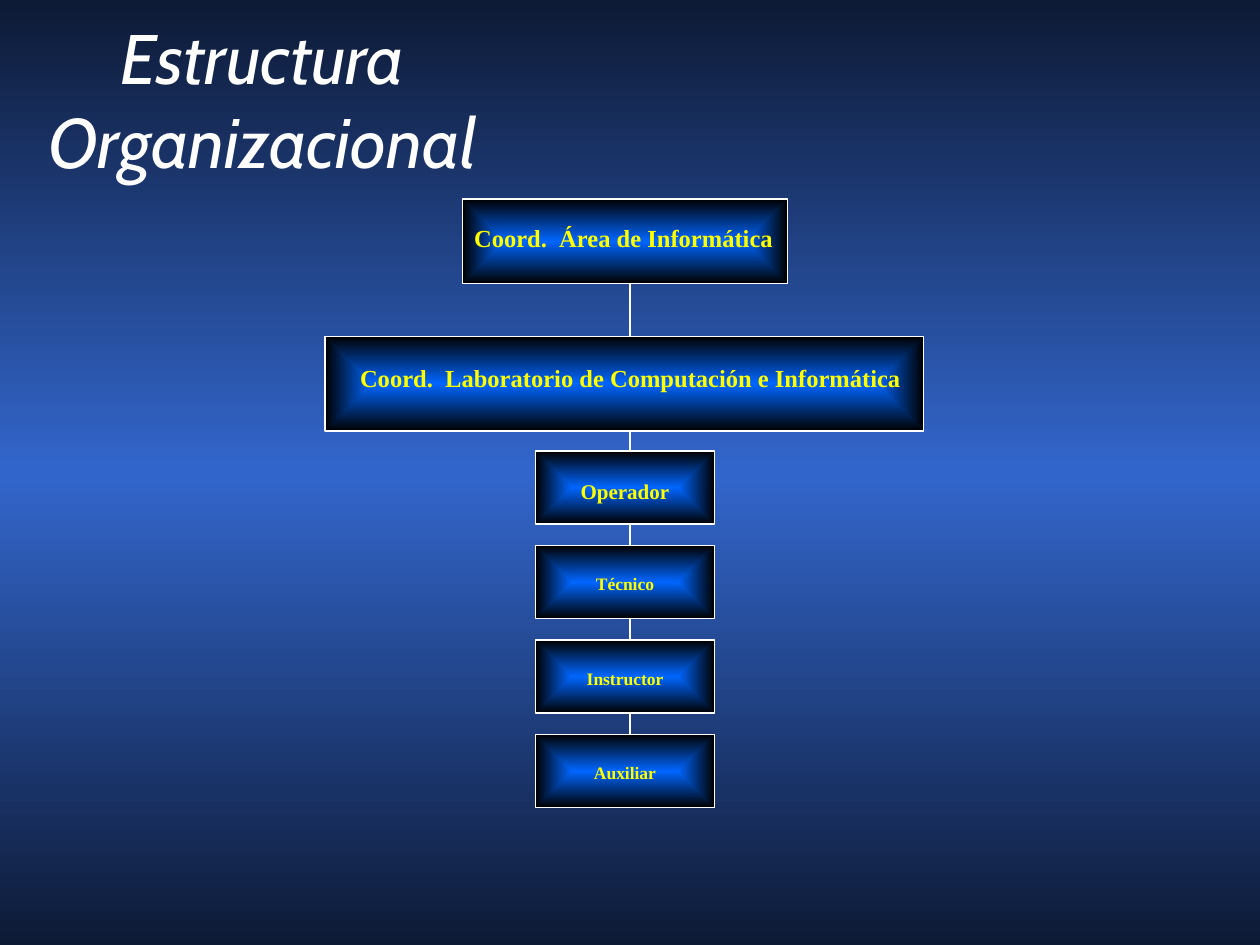
"""Build the organisational structure slide."""
from lxml.etree import SubElement
from pptx import Presentation
from pptx.dml.color import RGBColor
from pptx.enum.shapes import MSO_CONNECTOR, MSO_SHAPE
from pptx.enum.text import MSO_ANCHOR, PP_ALIGN
from pptx.oxml import parse_xml
from pptx.oxml.ns import nsdecls, qn
from pptx.util import Inches, Pt


def set_gradient(properties, stops, direction):
    stop_xml = "".join(
        f'<a:gs pos="{percent * 1000}"><a:srgbClr val="{colour}"/></a:gs>'
        for percent, colour in stops
    )
    gradient = parse_xml(
        f'<a:gradFill {nsdecls("a")} rotWithShape="1">'
        f"<a:gsLst>{stop_xml}</a:gsLst>{direction}</a:gradFill>"
    )
    properties.replace(properties.find(qn("a:solidFill")), gradient)


def add_text(text, left, top, width, height, size, font="Times New Roman",
             colour="FFFF00", bold=True, italic=False, shadow=None,
             anchor=MSO_ANCHOR.TOP):
    box = page.shapes.add_textbox(
        Inches(left), Inches(top), Inches(width), Inches(height))
    frame = box.text_frame
    frame.word_wrap = True
    frame.vertical_anchor = anchor
    para = frame.paragraphs[0]
    para.alignment = PP_ALIGN.CENTER
    span = para.add_run()
    span.text = text
    span.font.name = font
    span.font.size = Pt(size)
    span.font.bold = bold
    span.font.italic = italic
    span.font.color.rgb = RGBColor.from_string(colour)
    if shadow:
        effect = parse_xml(
            f'<a:effectLst {nsdecls("a")}><a:outerShdw dist="17961" dir="2700000">'
            f'<a:srgbClr val="{shadow}"/></a:outerShdw></a:effectLst>'
        )
        span.font._element.find(qn("a:solidFill")).addnext(effect) if hasattr(
            span.font, "_element") else span._r.rPr.find(
            qn("a:solidFill")).addnext(effect)


deck = Presentation()
deck.slide_width, deck.slide_height = Inches(10), Inches(7.5)
page = deck.slides.add_slide(deck.slide_layouts[6])

page.background.fill.solid()
set_gradient(page.element.find(".//" + qn("p:bgPr")),
             [(0, "0D1A35"), (50, "3366CC"), (100, "0D1A35")],
             '<a:lin ang="5400000" scaled="0"/>')

add_text("Estructura Organizacional", -0.25, 0.08, 4.67, 1.42, 40,
         font="Cabin", colour="FFFFFF", bold=False, italic=True,
         shadow="DDDDDD", anchor=MSO_ANCHOR.BOTTOM)

staff = [("Operador", 12), ("Técnico", 10), ("Instructor", 10), ("Auxiliar", 10)]
staff_tops = [3.58 + 0.75 * row for row in range(len(staff))]
frames = [(3.67, 1.58, 2.58, 0.67), (2.58, 2.67, 4.75, 0.75)]
frames += [(4.25, top, 1.42, 0.58) for top in staff_tops]

for frame in frames:
    box = page.shapes.add_shape(MSO_SHAPE.RECTANGLE, *map(Inches, frame))
    box.shadow.inherit = False
    box.fill.solid()
    set_gradient(box.element.spPr, [(0, "0066FF"), (100, "000000")],
                 '<a:path path="rect"><a:fillToRect l="50000" t="50000" '
                 'r="50000" b="50000"/></a:path>')
    box.line.color.rgb = RGBColor.from_string("FFFFFF")
    box.line.width = Pt(0.75)

for upper, lower in zip(frames, frames[1:]):
    link = page.shapes.add_connector(
        MSO_CONNECTOR.STRAIGHT, Inches(5), Inches(upper[1] + upper[3]),
        Inches(5), Inches(lower[1]))
    link.line.color.rgb = RGBColor.from_string("FFFFFF")
    link.line.width = Pt(0.75)
    SubElement(link.element.spPr, qn("a:effectLst"))

add_text("Coord.  Área de Informática", 3.58, 1.72, 2.74, 0.33, 14)
add_text("Coord.  Laboratorio de Computación e Informática",
         2.42, 2.83, 5.17, 0.33, 14)
for (role, size), top in zip(staff, staff_tops):
    add_text(role, 4.17, top + 0.17, 1.58, 0.27, size, shadow="000000")

deck.save("out.pptx")
